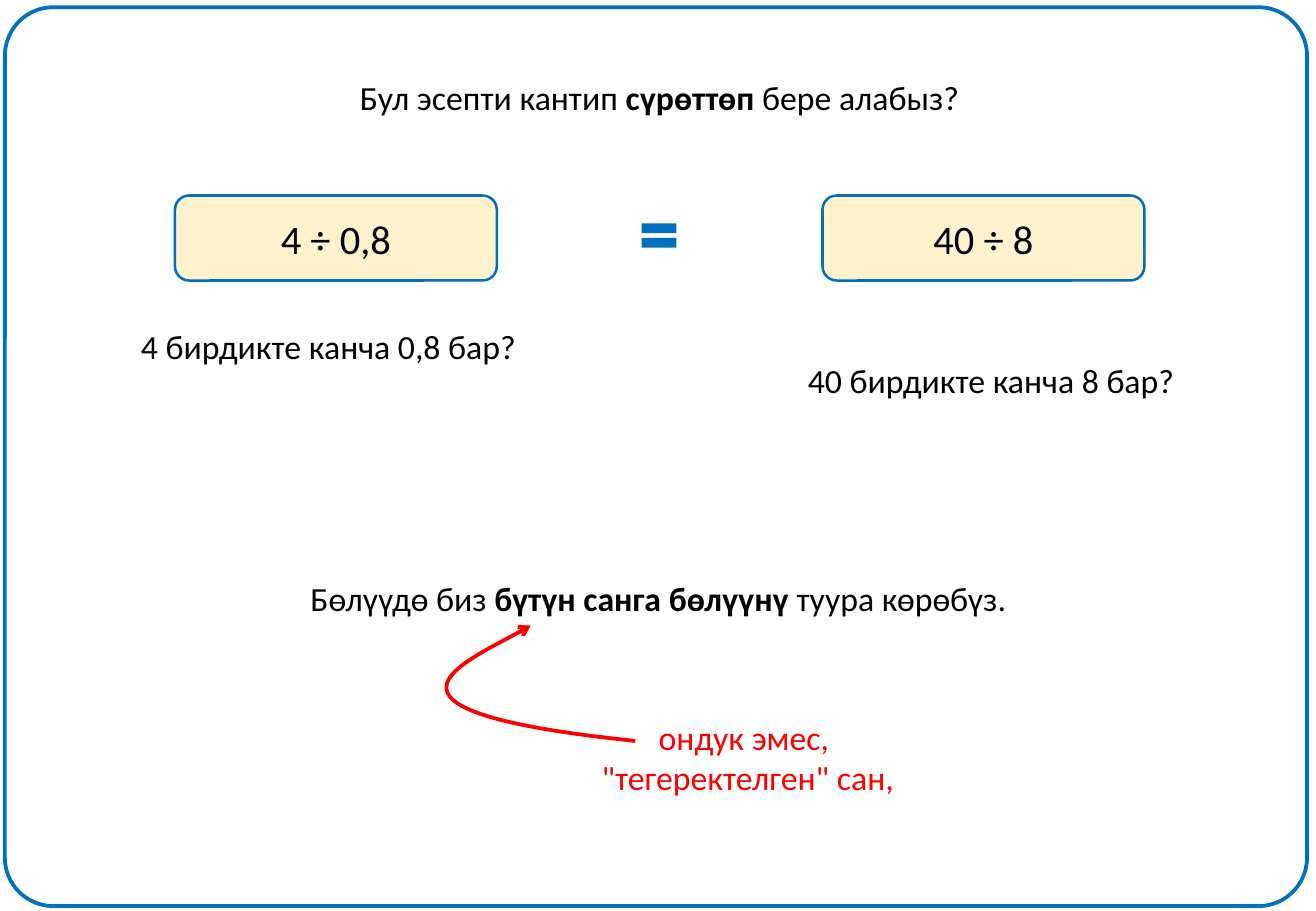
from lxml.etree import SubElement
from pptx import Presentation
from pptx.dml.color import RGBColor
from pptx.enum.shapes import MSO_SHAPE
from pptx.enum.text import MSO_ANCHOR, MSO_AUTO_SIZE, PP_ALIGN
from pptx.oxml.ns import qn
from pptx.util import Pt

BLUE = RGBColor(0x00, 0x70, 0xC0)
CREAM = RGBColor(0xFF, 0xF2, 0xCC)
RED = RGBColor(0xFF, 0x00, 0x00)
BLACK = RGBColor(0x00, 0x00, 0x00)

# Content: a text is a list of paragraphs, a paragraph a list of (words, bold)
QUESTION = [[("Бул эсепти кантип ", False), ("сүрөттөп", True), (" бере алабыз?", False)]]
EXPRESSIONS = ["4 ÷ 0,8", "40 ÷ 8"]
# Text, left, top, width, height, colour
NOTES = [
    ([[("4 бирдикте канча 0,8 бар?", False)]], 75.6, 189.4, 238.3, 31.5, BLACK),
    ([[("40 бирдикте канча 8 бар?", False)]], 470.9, 209.5, 233.3, 31.5, BLACK),
    ([[("Бөлүүдө биз ", False), ("бүтүн санга бөлүүнү ", True), ("туура көрөбүз.", False)]],
     176.4, 339.1, 427.7, 31.5, BLACK),
    ([[("ондук эмес,", False)], [(' "тегеректелген" сан,', False)]],
     341.3, 421.2, 199.4, 55.7, RED),
]
# Start, two control points and end of the curved arrow
CURVE = [(314.6, 370.8), (280.8, 391), (195.1, 420.5), (376.6, 439.2)]
CURVE_STEPS = 40

BOX_LEFT, BOX_TOP, BOX_WIDTH, BOX_HEIGHT = 103.7, 115.9, 190.8, 50.4
BOX_PITCH = 383.8


def write(s, paragraphs, size=20, color=BLACK, anchor=MSO_ANCHOR.TOP):
    tf = s.text_frame
    tf.word_wrap = False
    tf.auto_size = MSO_AUTO_SIZE.NONE
    tf.vertical_anchor = anchor
    for i, runs in enumerate(paragraphs):
        p = tf.add_paragraph() if i else tf.paragraphs[0]
        p.alignment = PP_ALIGN.CENTER
        for text, bold in runs:
            r = p.add_run()
            r.text = text
            r.font.name = "Calibri"
            r.font.size = Pt(size)
            r.font.bold = bold
            r.font.color.rgb = color


def place(s, *box):
    s.left, s.top, s.width, s.height = map(Pt, box)


def paint(s, fill=None, line=None, weight=0):
    s.shadow.inherit = False
    if fill is None:
        s.fill.background()
    else:
        s.fill.solid()
        s.fill.fore_color.rgb = fill
    if line is None:
        s.line.fill.background()
    else:
        s.line.color.rgb = line
        s.line.width = Pt(weight)


def add_shape(kind, *box, **style):
    s = slide.shapes.add_shape(kind, *map(Pt, box))
    paint(s, **style)
    return s


def bezier(t):
    weights = (1 - t) ** 3, 3 * t * (1 - t) ** 2, 3 * t ** 2 * (1 - t), t ** 3
    return tuple(Pt(sum(w * c for w, c in zip(weights, axis))) for axis in zip(*CURVE))


prs = Presentation()
prs.slide_width, prs.slide_height = Pt(780), Pt(540)
slide = prs.slides.add_slide(prs.slide_layouts[5])

# Frame and question
add_shape(MSO_SHAPE.ROUNDED_RECTANGLE, 2.9, 4.3, 771.8, 532.8,
          line=BLUE, weight=2.25).adjustments[0] = 0.054
title = slide.shapes.title
place(title, 205.2, 41.8, 371.5, 31.5)
write(title, QUESTION)

# Two equal expressions
for i, expression in enumerate(EXPRESSIONS):
    s = add_shape(MSO_SHAPE.ROUNDED_RECTANGLE, BOX_LEFT + i * BOX_PITCH, BOX_TOP,
                  BOX_WIDTH, BOX_HEIGHT, fill=CREAM, line=BLUE, weight=1.5)
    write(s, [[(expression, False)]], size=24, anchor=MSO_ANCHOR.MIDDLE)
add_shape(MSO_SHAPE.MATH_EQUAL, 376.6, 127.4, 28.1, 24.5, fill=BLUE)

# Notes
for paragraphs, *box, color in NOTES:
    write(slide.shapes.add_textbox(*map(Pt, box)), paragraphs, color=color)

# Curved arrow from the red note to the rule
points = [bezier(i / CURVE_STEPS) for i in range(CURVE_STEPS + 1)]
builder = slide.shapes.build_freeform(*points[0])
builder.add_line_segments(points[1:], close=False)
arrow = builder.convert_to_shape()
paint(arrow, line=RED, weight=2.25)
SubElement(arrow.line._get_or_add_ln(), qn("a:headEnd"), type="arrow")

prs.save("out.pptx")
